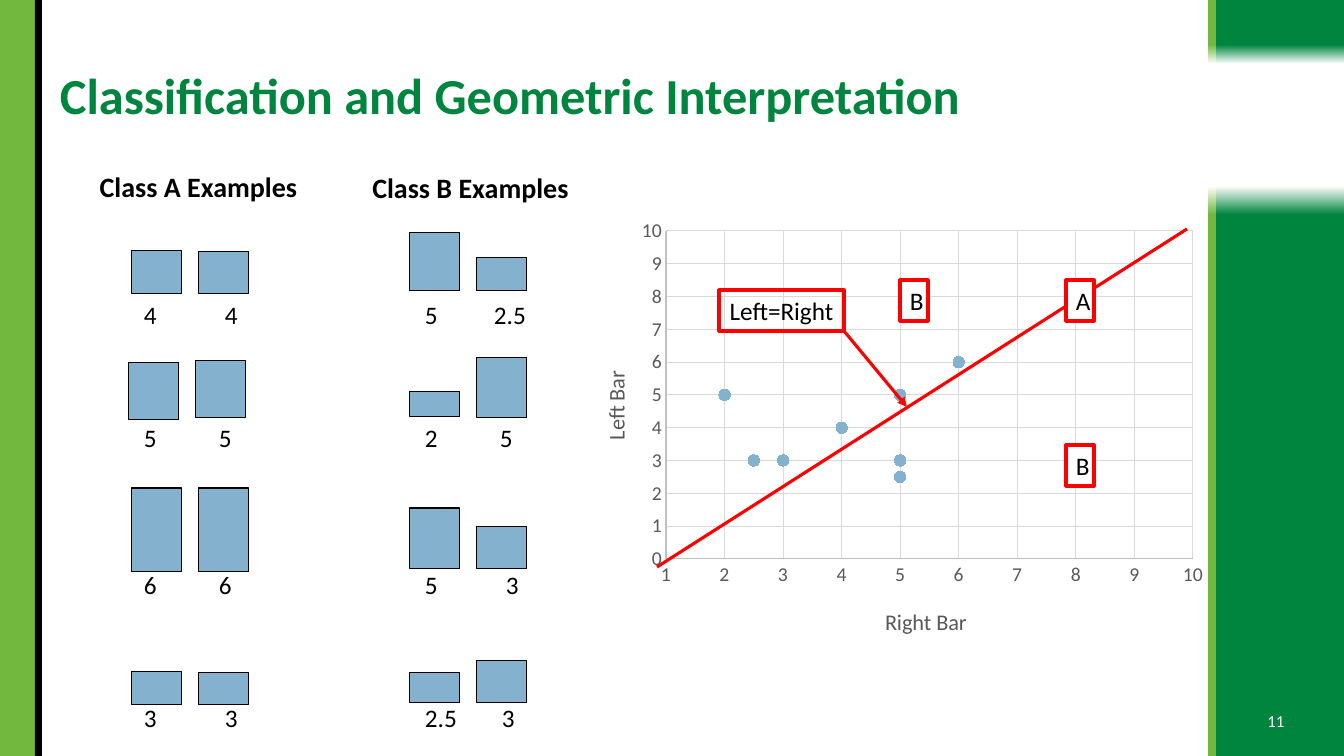
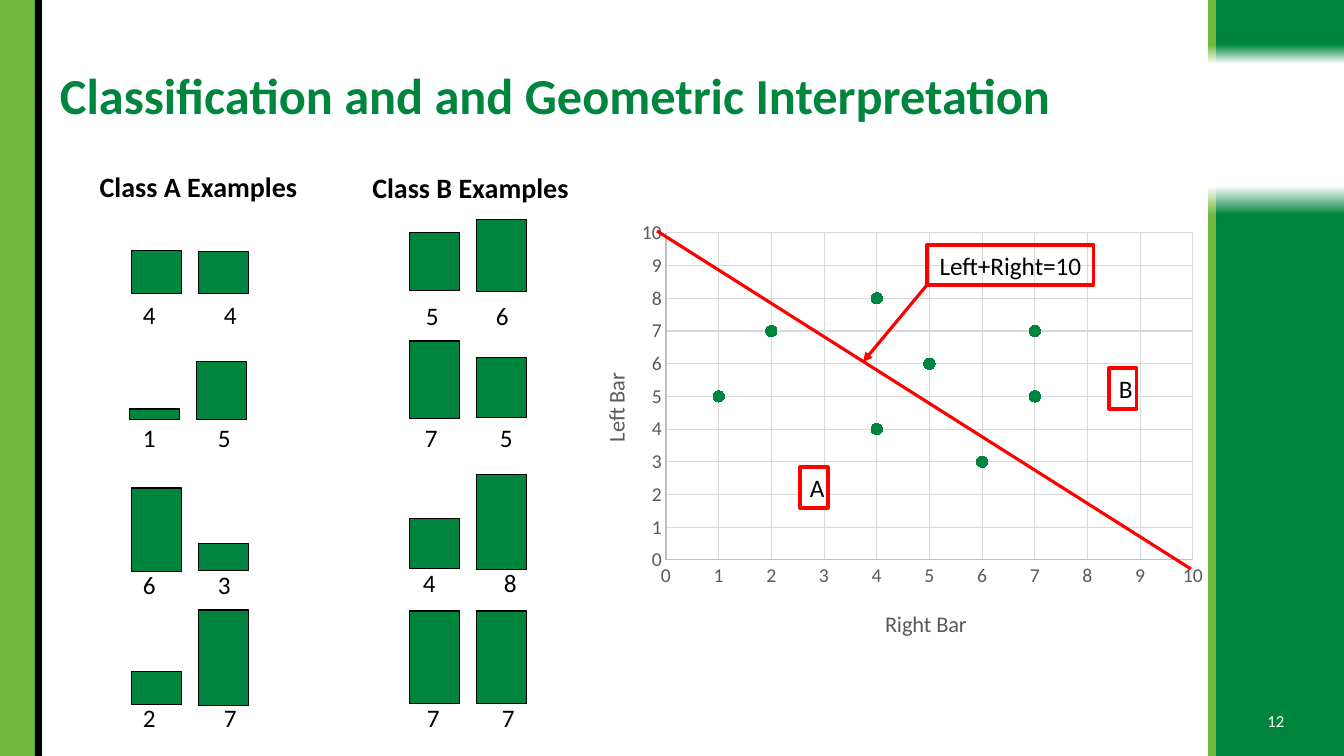
from pptx import Presentation, util as u
from pptx.chart.data import XyChartData
from pptx.dml.color import RGBColor
from pptx.enum import chart as ch, shapes, text
from pptx.oxml.ns import qn
from pptx.oxml.xmlchemy import OxmlElement

GREEN = RGBColor(0x00, 0x85, 0x3E)
LIME = RGBColor(0x72, 0xB8, 0x3E)
BLUE = RGBColor(0x84, 0xB1, 0xCD)
RED = RGBColor(0xFF, 0x00, 0x00)
BLACK = RGBColor(0x00, 0x00, 0x00)
WHITE = RGBColor(0xFF, 0xFF, 0xFF)
GREY = RGBColor(0x59, 0x59, 0x59)
AXIS = RGBColor(0xBF, 0xBF, 0xBF)
GRID = RGBColor(0xD9, 0xD9, 0xD9)
FONT = "Calibri"
CENTER = text.PP_ALIGN.CENTER
TOP, MIDDLE, BOTTOM = (text.MSO_ANCHOR.TOP, text.MSO_ANCHOR.MIDDLE,
                       text.MSO_ANCHOR.BOTTOM)

TITLE = dict(size=36, bold=True, color=GREEN, anchor=MIDDLE, spacing=0.9)
HEADING = dict(size=20, bold=True, anchor=BOTTOM, align=CENTER, spacing=0.9)
NUMBER = dict(size=12, color=WHITE, anchor=MIDDLE, align=CENTER)

# Shared parts: box, colour, share of solid colour, rotation
FADES = [
    ((1216, 0, 128, 64), GREEN, 0.70, 0),
    ((1216, 186, 128, 570), GREEN, 0.95, 180),
    ((1208, 0, 8, 64), LIME, 0.70, 0),
    ((1208, 186, 8, 570), LIME, 0.95, 180),
]
EDGES = [((0, 0, 35, 756), LIME), ((35, 0, 7, 756), BLACK)]
HEADINGS = [("Class A Examples", (88, 162, 221, 47)),
            ("Class B Examples", (360, 163, 221, 47))]
BAR_W, BAR_STEP = 50, 67

# Each pair: left bar x, (top, height) of both bars, label texts,
# x of both labels, top of the label box
SLIDES = [
    dict(
        title="Classification and Geometric Interpretation", number="11", color=BLUE,
        pairs=[
            (132, (251, 43), (252, 42), ("4", "4"), (144, 225), 294),
            (129, (363, 57), (361, 57), ("5", "5"), (144, 219), 417),
            (132, (488, 84), (488, 84), ("6", "6"), (144, 219), 564),
            (132, (672, 33), (673, 32), ("3", "3"), (144, 225), 697),
            (410, (233, 58), (258, 33), ("5", "2.5"), (425, 494), 294),
            (410, (391, 26), (358, 60), ("2", "5"), (425, 500), 417),
            (410, (508, 61), (527, 42), ("5", "3"), (425, 506), 564),
            (410, (673, 30), (661, 42), ("2.5", "3"), (425, 502), 697),
        ],
        chart=(571, 210, 646, 444), plot=(666, 231, 527, 328), x_min=1,
        points=[(4, 4), (5, 5), (6, 6), (3, 3), (5, 2.5), (2, 5), (5, 3), (2.5, 3)],
        boundary=(657, 567, 1187, 229),
        rule=("Left=Right", (719, 290, 125, 41)), pointer=(844, 331, 907, 407),
        regions=[("A", 1066, 280), ("B", 1066, 445), ("B", 900, 280)],
    ),
    dict(
        title="Classification and and Geometric Interpretation", number="12", color=GREEN,
        pairs=[
            (132, (251, 43), (252, 42), ("4", "4"), (143, 224), 294),
            (130, (409, 11), (362, 58), ("1", "5"), (143, 218), 417),
            (132, (488, 84), (544, 27), ("6", "3"), (143, 218), 564),
            (132, (672, 33), (610, 96), ("2", "7"), (143, 224), 697),
            (410, (233, 58), (220, 72), ("5", "6"), (426, 496), 295),
            (410, (341, 78), (358, 60), ("7", "5"), (425, 500), 417),
            (410, (519, 50), (475, 95), ("4", "8"), (423, 504), 562),
            (410, (611, 93), (611, 93), ("7", "7"), (427, 502), 697),
        ],
        chart=(571, 212, 646, 443), plot=(666, 233, 527, 327), x_min=0,
        points=[(4, 4), (1, 5), (6, 3), (2, 7), (5, 6), (7, 5), (4, 8), (7, 7)],
        boundary=(657, 231, 1191, 569),
        rule=("Left+Right=10", (927, 245, 167, 40)), pointer=(927, 285, 863, 362),
        regions=[("A", 800, 467), ("B", 1109, 368)],
    ),
]


def px(n):
    return u.Emu(round(n * 914400 / 100.8))


def emu(box):
    return [px(n) for n in box]


def set_font(font, size, color=BLACK, bold=False):
    values = dict(name=FONT, size=u.Pt(size), bold=bold)
    for name, value in values.items():
        setattr(font, name, value)
    font.color.rgb = color


def write(sp, words, size=18, color=BLACK, bold=False, anchor=TOP,
          align=None, spacing=None):
    tf = sp.text_frame
    tf.word_wrap, tf.vertical_anchor = True, anchor
    p = tf.paragraphs[0]
    p.alignment, p.line_spacing = align, spacing
    r = p.add_run()
    r.text = words
    set_font(r.font, size, color, bold)
    return p


def add_text(s, box, words, **style):
    return write(s.shapes.add_textbox(*emu(box)), words, **style)


def add_rect(s, box, fill=None, line=None, width=0.75):
    sp = s.shapes.add_shape(shapes.MSO_SHAPE.RECTANGLE, *emu(box))
    sp.shadow.inherit = False
    for part, color in ((sp.fill, fill), (sp.line.fill, line)):
        if color is None:
            part.background()
        else:
            part.solid()
            part.fore_color.rgb = color
    if line is not None:
        sp.line.width = u.Pt(width)
    return sp


def add_line(s, ends, arrow=False):
    line = s.shapes.add_connector(shapes.MSO_CONNECTOR.STRAIGHT, *emu(ends))
    line.line.color.rgb, line.line.width = RED, u.Pt(2.25)
    if arrow:
        head = OxmlElement("a:tailEnd")
        head.set("type", "triangle")
        line.line._get_or_add_ln().append(head)
    line._element.spPr.append(OxmlElement("a:effectLst"))


def add_frame(s):
    for box, color, solid, turn in FADES:
        sp = add_rect(s, box)
        sp.rotation = turn
        sp.fill.gradient()
        sp.fill.gradient_angle = 270
        for stop, shade, position in zip(sp.fill.gradient_stops, (color, WHITE), (solid, 1)):
            stop.color.rgb, stop.position = shade, position
    for box, color in EDGES:
        add_rect(s, box, color)


def add_pair(s, color, x, left, right, labels, label_x, label_top):
    for i, (top, height) in enumerate((left, right)):
        add_rect(s, (x + i * BAR_STEP, top, BAR_W, height), color, BLACK)
    start, second = label_x
    p = add_text(s, (start - 10, label_top, 124, 40), "\t".join(labels))
    tabs, tab = OxmlElement("a:tabLst"), OxmlElement("a:tab")
    tab.set("pos", str(px(second - start)))
    tab.set("algn", "l")
    tabs.append(tab)
    p._p.get_or_add_pPr().append(tabs)


def place(el, **values):
    """Fix a chart part at fractions of the chart area."""
    layout = el.find(qn("c:layout"))
    if layout is None:
        layout = OxmlElement("c:layout")
        el.insert(0 if el.find(qn("c:tx")) is None else 1, layout)
    manual = OxmlElement("c:manualLayout")
    for name, value in values.items():
        item = OxmlElement("c:" + name)
        item.set("val", str(value))
        manual.append(item)
    layout.append(manual)


def add_scatter(s, box, plot, points, color, x_min):
    data = XyChartData()
    series = data.add_series("Series 1")
    for x, y in points:
        series.add_data_point(x, y)
    chart = s.shapes.add_chart(ch.XL_CHART_TYPE.XY_SCATTER, *emu(box), data).chart
    chart.has_legend = chart.has_title = False
    set_font(chart.font, 10)
    chart.plots[0].vary_by_categories = False

    left, top, width, height = box
    fx, fy = (lambda n: round((n - left) / width, 4)), (lambda n: round((n - top) / height, 4))
    place(chart._chartSpace.chart.plotArea, layoutTarget="inner", xMode="edge", yMode="edge",
          x=fx(plot[0]), y=fy(plot[1]),
          w=round(plot[2] / width, 4), h=round(plot[3] / height, 4))

    ser = chart.plots[0].series[0]
    ser.smooth = False
    ser.format.line.fill.background()
    ser.marker.style, ser.marker.size = ch.XL_MARKER_STYLE.CIRCLE, 8
    ser.marker.format.fill.solid()
    ser.marker.format.fill.fore_color.rgb = color
    ser.marker.format.line.color.rgb = color

    axes = [(chart.category_axis, "Right Bar", x_min, 0, (881, top + 393)),
            (chart.value_axis, "Left Bar", 0, -90, (597, top + 157))]
    for axis, words, low, turn, (x, y) in axes:
        values = dict(minimum_scale=low, maximum_scale=10, major_unit=1,
                      major_tick_mark=ch.XL_TICK_MARK.NONE,
                      minor_tick_mark=ch.XL_TICK_MARK.NONE, has_major_gridlines=True)
        for name, value in values.items():
            setattr(axis, name, value)
        for line, shade in ((axis.format.line, AXIS), (axis.major_gridlines.format.line, GRID)):
            line.color.rgb, line.width = shade, u.Pt(0.75)
        set_font(axis.tick_labels.font, 14, GREY)
        tf = axis.axis_title.text_frame
        r = tf.paragraphs[0].add_run()
        r.text = words
        set_font(r.font, 16, GREY)
        tf._txBody.bodyPr.set("rot", str(turn * 60000))
        place(axis.axis_title._element, xMode="edge", yMode="edge", x=fx(x), y=fy(y))


prs = Presentation()
prs.slide_width, prs.slide_height = px(1344), px(756)

for c in SLIDES:
    s = prs.slides.add_slide(prs.slide_layouts[6])
    add_frame(s)
    add_text(s, (50, 40, 1149, 117), c["title"], **TITLE)
    add_text(s, (1250, 701, 52, 40), c["number"], **NUMBER)

    # Example bars
    for words, box in HEADINGS:
        add_text(s, box, words, **HEADING)
    for pair in c["pairs"]:
        add_pair(s, c["color"], *pair)

    # Scatter chart with decision boundary
    add_scatter(s, c["chart"], c["plot"], c["points"], c["color"], c["x_min"])
    add_line(s, c["boundary"])
    words, box = c["rule"]
    write(add_rect(s, box, None, RED, 2.25), words, align=CENTER)
    add_line(s, c["pointer"], arrow=True)
    for words, x, y in c["regions"]:
        write(add_rect(s, (x, y, 28, 41), WHITE, RED, 2.25), words, align=CENTER)

prs.save("out.pptx")
